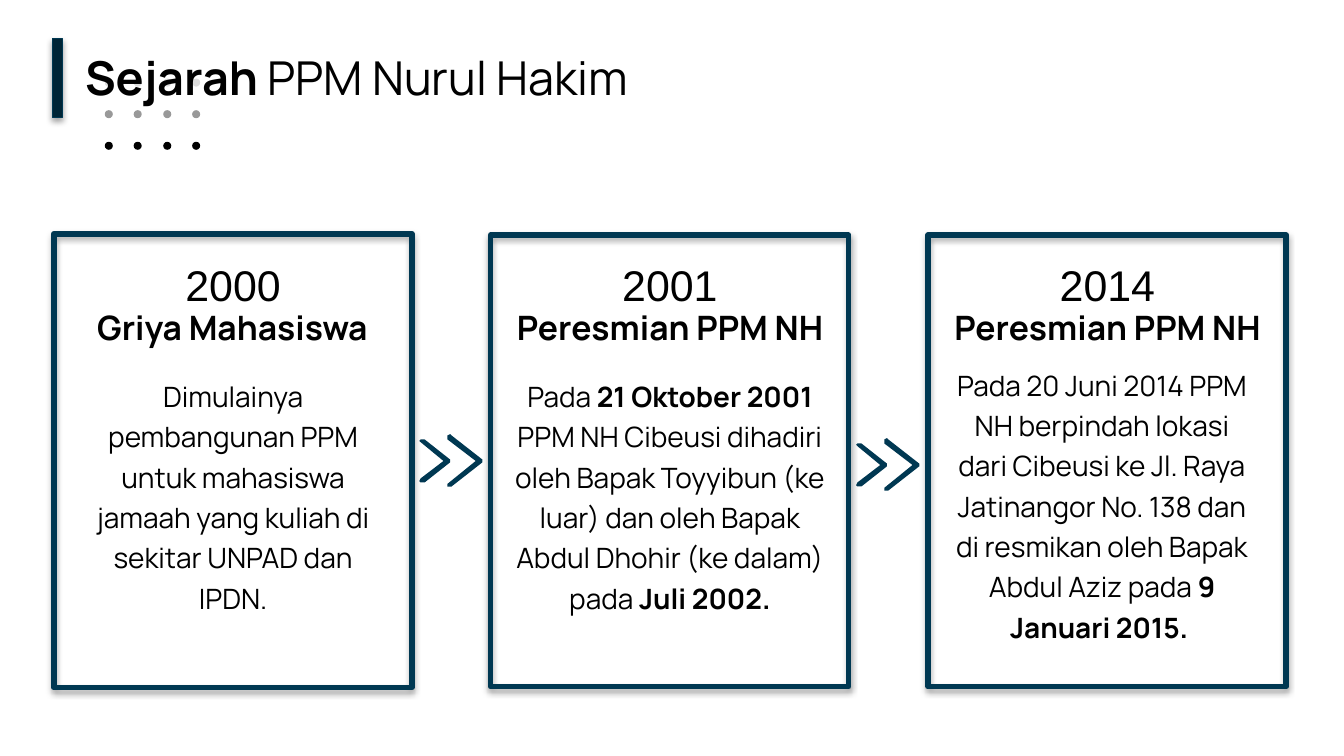
from dataclasses import dataclass

from lxml.etree import SubElement
from pptx import Presentation
from pptx.dml.color import RGBColor
from pptx.enum.shapes import MSO_SHAPE
from pptx.enum.text import MSO_AUTO_SIZE, PP_ALIGN
from pptx.oxml.ns import qn
from pptx.util import Pt

PX = 4572


@dataclass(frozen=True)
class Theme:
    ink: str = "000000"
    navy: str = "003852"
    deep: str = "002536"
    dots: tuple = ("DDDDDD", "999999", "000000")
    sans: str = "Manrope"
    numeral: str = "Arial"
    title: int = 25
    year: int = 23
    heading: int = 18
    body: int = 15


def write(tf, text, size, font, color, bold=False, align=PP_ALIGN.CENTER, spacing=None):
    p = tf.paragraphs[0]
    p.alignment = align
    if spacing:
        p.line_spacing = spacing
    for i, part in enumerate(text.split("**")):
        if part:
            r = p.add_run()
            r.text = part
            r.font.size = Pt(size)
            r.font.name = font
            r.font.bold = bold or i % 2 == 1
            r.font.color.rgb = RGBColor.from_string(color)


class Deck:
    def __init__(self, prs, theme):
        self.theme = theme
        self.s = prs.slides.add_slide(prs.slide_layouts[6])

    def paint(self, sp, fill=None, line=None, width=1):
        sp.shadow.inherit = False
        if fill:
            sp.fill.solid()
            sp.fill.fore_color.rgb = RGBColor.from_string(fill)
        else:
            sp.fill.background()
        if line:
            sp.line.color.rgb = RGBColor.from_string(line)
            sp.line.width = Pt(width)
        else:
            sp.line.fill.background()

    def shape(self, kind, box, **style):
        sp = self.s.shapes.add_shape(kind, *(v * PX for v in box))
        self.paint(sp, **style)
        return sp

    def raised_rect(self, box, **style):
        sp = self.shape(MSO_SHAPE.RECTANGLE, box, **style)
        effects = sp.element.spPr.find(qn("a:effectLst"))
        shadow = SubElement(effects, qn("a:outerShdw"), blurRad="40000", dist="23000",
                            dir="5400000", rotWithShape="0")
        color = SubElement(shadow, qn("a:srgbClr"), val="000000")
        SubElement(color, qn("a:alpha"), val="35000")

    def text(self, box, text, grow=True, **style):
        tf = self.s.shapes.add_textbox(*(v * PX for v in box)).text_frame
        tf.word_wrap = True
        tf.auto_size = MSO_AUTO_SIZE.SHAPE_TO_FIT_TEXT if grow else MSO_AUTO_SIZE.NONE
        write(tf, text, color=self.theme.ink, **style)

    def chevrons(self, x, y):
        large = [(94, 38), (48, 2), (46, 0), (42, 2), (42, 8), (84, 40), (42, 74),
                 (42, 78), (48, 78), (94, 42)]
        small = [(46, 38), (8, 8), (2, 8), (0, 10), (2, 12), (36, 40), (2, 66),
                 (0, 70), (2, 72), (8, 72), (46, 42)]
        fb = self.s.shapes.build_freeform(*large[0], scale=PX)
        fb.add_line_segments(large[1:])
        fb.move_to(*small[0])
        fb.add_line_segments(small[1:])
        self.paint(fb.convert_to_shape(x * PX, y * PX), fill=self.theme.navy)


def main():
    prs = Presentation()
    prs.slide_width, prs.slide_height = 2000 * PX, 1125 * PX
    theme = Theme()
    deck = Deck(prs, theme)

    for y, color in zip((117, 164, 211), theme.dots):
        for col in range(4):
            deck.shape(MSO_SHAPE.OVAL, (156 + round(col * 130 / 3), y, 12, 12), fill=color)

    deck.text((107, 79, 950, 88), "**Sejarah** PPM Nurul Hakim", size=theme.title,
              font=theme.sans, align=PP_ALIGN.LEFT, spacing=0.8)
    deck.raised_rect((78, 57, 15, 118), fill=theme.deep, line=theme.navy, width=0.75)

    cards = [
        ((80, 348, 533, 675), "2000", (110, 472), "Griya Mahasiswa", (99, 545, 496, 380),
         "Dimulainya pembangunan PPM untuk mahasiswa jamaah yang kuliah di sekitar "
         "UNPAD dan IPDN."),
        ((730, 350, 533, 672), "2001", (746, 502), "Peresmian PPM NH", (742, 545, 510, 478),
         "Pada **21 Oktober 2001** PPM NH Cibeusi dihadiri oleh Bapak Toyyibun (ke luar) "
         "dan oleh Bapak Abdul Dhohir (ke dalam) pada **Juli 2002.**"),
        ((1381, 350, 533, 672), "2014", (1397, 502), "Peresmian PPM NH",
         (1396, 528, 488, 478),
         "Pada 20 Juni 2014 PPM NH berpindah lokasi dari Cibeusi ke Jl. Raya Jatinangor "
         "No. 138 dan di resmikan oleh Bapak Abdul Aziz pada **9 Januari 2015. **"),
    ]
    for frame, year, (left, width), heading, body_box, body in cards:
        deck.raised_rect(frame, line=theme.navy, width=3)
        deck.text((frame[0] + 142, 375, 250, 98), year, size=theme.year, font=theme.numeral)
        deck.text((left, 447, width, 80), heading, size=theme.heading, font=theme.sans,
                  bold=True)
        deck.text(body_box, body, grow=False, size=theme.body, font=theme.sans, spacing=1.2)

    for x, y in ((624, 646), (1274, 652)):
        deck.chevrons(x, y)

    prs.save("out.pptx")


if __name__ == "__main__":
    main()
